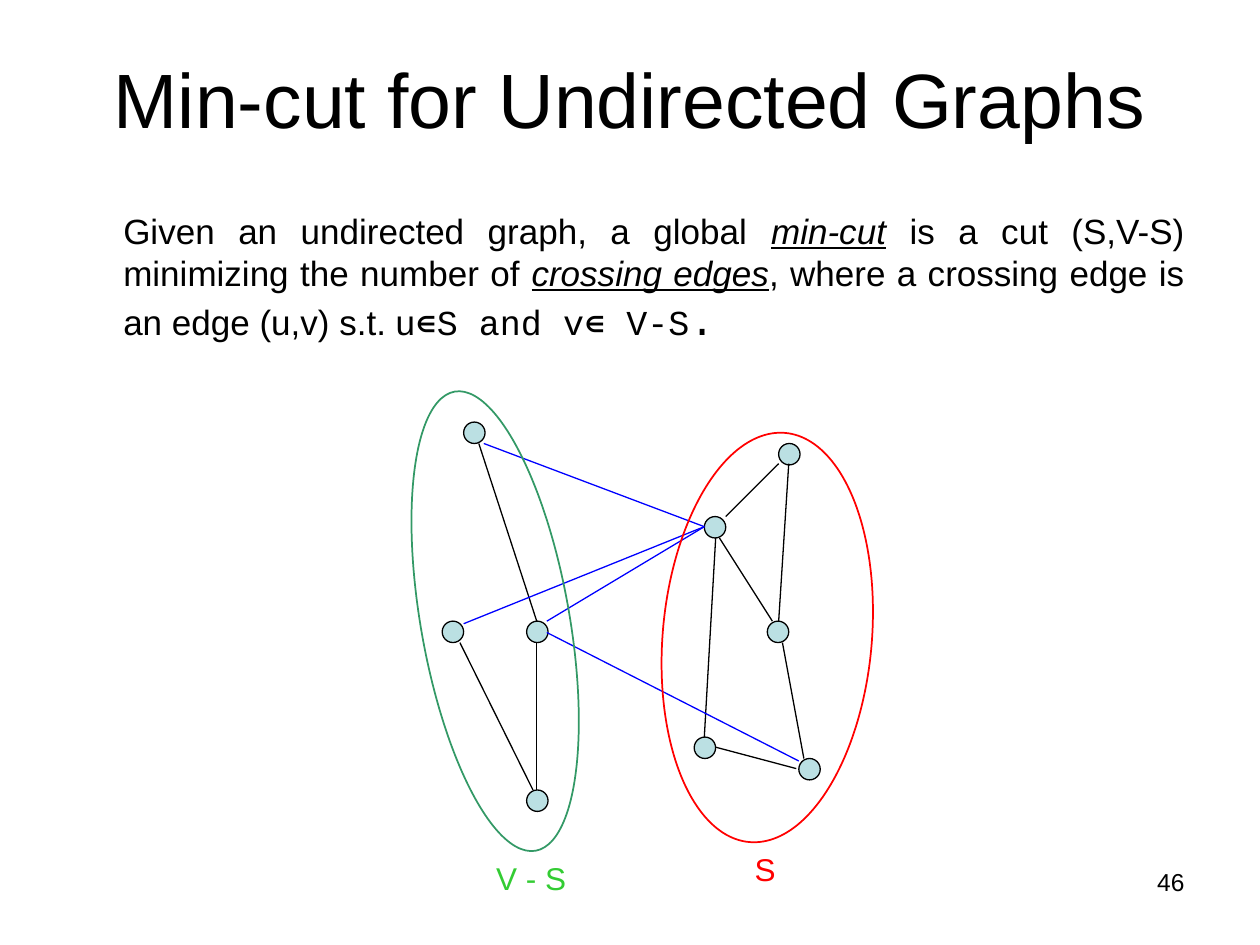
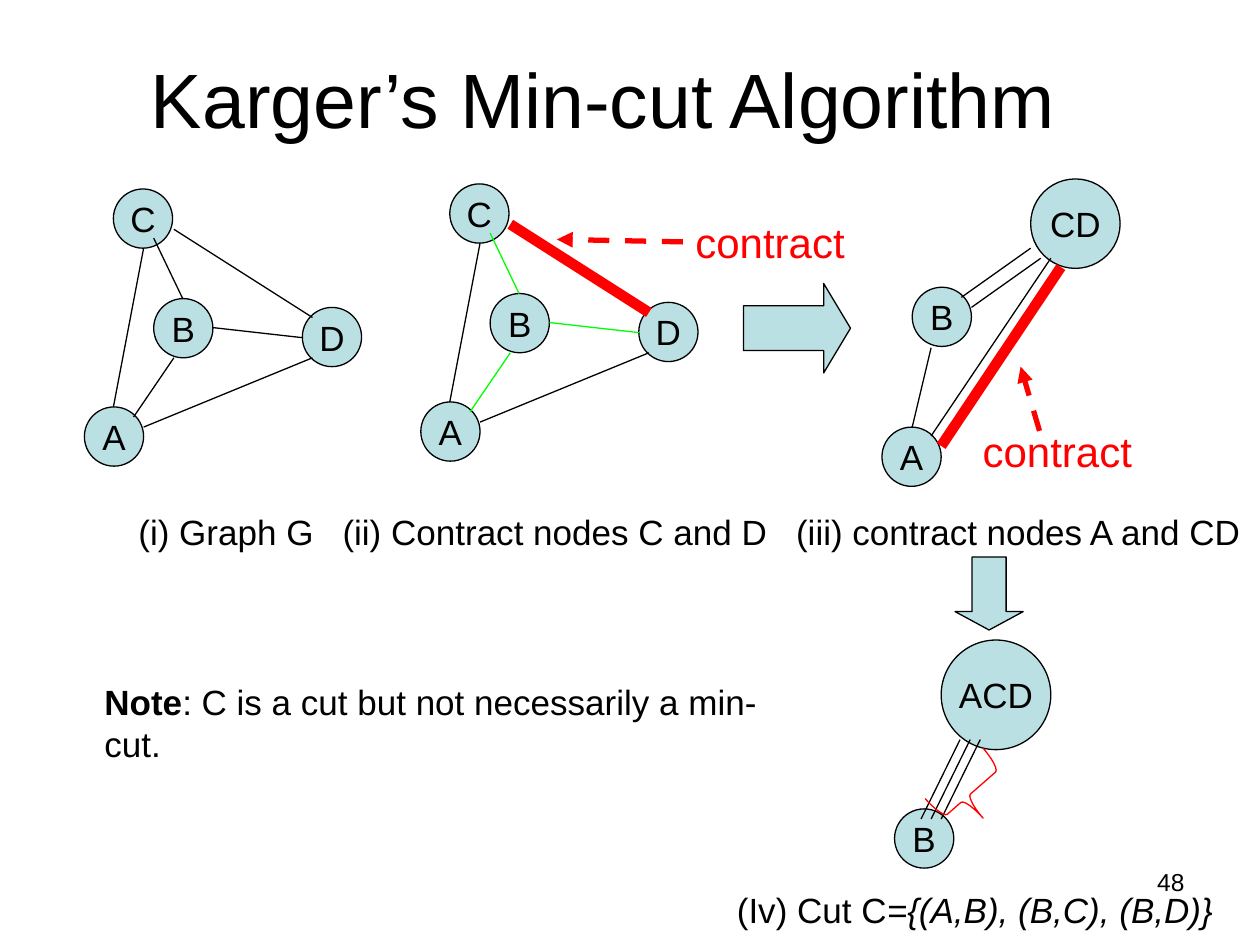
from pptx import Presentation
from pptx.dml.color import RGBColor
from pptx.enum.dml import MSO_LINE
from pptx.enum.shapes import MSO_CONNECTOR, MSO_SHAPE
from pptx.enum.text import MSO_ANCHOR, MSO_AUTO_SIZE, PP_ALIGN
from pptx.oxml.ns import qn
from pptx.util import Inches, Pt
from lxml import etree

BLACK = RGBColor(0x00, 0x00, 0x00)
RED = RGBColor(0xFF, 0x00, 0x00)
BLUE = RGBColor(0x00, 0x00, 0xFF)
GREEN = RGBColor(0x00, 0xFF, 0x00)
SEA_GREEN = RGBColor(0x33, 0x99, 0x66)
LIME = RGBColor(0x33, 0xCC, 0x33)
NODE_FILL = RGBColor(0xBB, 0xE0, 0xE3)

DOT = 0.17
NODE = 0.47
TERM = {"italic": True, "underline": True}
MONO = {"name": "Courier New"}


class Deck:
    """Shared style and the slide being drawn."""

    def __init__(self):
        self.prs = Presentation()
        self.prs.slide_width, self.prs.slide_height = Inches(10), Inches(7.5)
        self.s = None

    def slide(self, title, number, left=0.5, width=9):
        self.s = self.prs.slides.add_slide(self.prs.slide_layouts[5])
        sp = self.s.shapes.title
        box = {"left": left, "top": 0.3, "width": width, "height": 1.25}
        for name, value in box.items():
            setattr(sp, name, Inches(value))
        self.fill_text(sp.text_frame, [(title, {})], 44, align=PP_ALIGN.CENTER,
                       margin_top=Inches(0.11))
        self.text(7.17, 6.83, 2.33, 0.52, number, 14, align=PP_ALIGN.RIGHT)

    def fill_text(self, tf, runs, size, color=BLACK, align=PP_ALIGN.LEFT, **frame):
        settings = {"auto_size": MSO_AUTO_SIZE.NONE, "word_wrap": True,
                    "vertical_anchor": MSO_ANCHOR.TOP, **frame}
        for name, value in settings.items():
            setattr(tf, name, value)
        p = tf.paragraphs[0]
        p.alignment = align
        for text, extra in runs:
            r = p.add_run()
            r.text = text
            for name, value in {"name": "Arial", "size": Pt(size), **extra}.items():
                setattr(r.font, name, value)
            r.font.color.rgb = color

    def text(self, x, y, w, h, content, size=20, color=BLACK, **options):
        runs = [(content, {})] if isinstance(content, str) else content
        tb = self.s.shapes.add_textbox(Inches(x), Inches(y), Inches(w), Inches(h))
        self.fill_text(tb.text_frame, runs, size, color, **options)

    def shape(self, kind, x, y, w, h, fill=NODE_FILL, line=BLACK, width=0.75,
              rotation=0, adjust=()):
        sp = self.s.shapes.add_shape(kind, Inches(x), Inches(y), Inches(w), Inches(h))
        sp.shadow.inherit = False
        sp.rotation = rotation
        for i, value in enumerate(adjust):
            sp.adjustments[i] = value
        if fill is None:
            sp.fill.background()
        else:
            sp.fill.solid()
            sp.fill.fore_color.rgb = fill
        sp.line.color.rgb = line
        sp.line.width = Pt(width)
        return sp

    def node(self, x, y, label, size=NODE):
        sp = self.shape(MSO_SHAPE.OVAL, x, y, size, size)
        self.fill_text(sp.text_frame, [(label, {})], 20, align=PP_ALIGN.CENTER,
                       vertical_anchor=MSO_ANCHOR.MIDDLE, word_wrap=False,
                       margin_left=0, margin_right=0)

    def line(self, x1, y1, x2, y2, color=BLACK, width=0.75, arrow=False):
        c = self.s.shapes.add_connector(MSO_CONNECTOR.STRAIGHT, Inches(x1),
                                        Inches(y1), Inches(x2), Inches(y2))
        c.line.color.rgb = color
        c.line.width = Pt(width)
        if arrow:
            c.line.dash_style = MSO_LINE.DASH
            ln = c._element.spPr.find(qn("a:ln"))
            etree.SubElement(ln, qn("a:tailEnd"), type="triangle")
        etree.SubElement(c._element.spPr, qn("a:effectLst"))

    def complete_graph(self, dx, dy, styles):
        """Four labelled nodes, all joined; styles overrides single edges."""
        nodes = {"A": (0.67, 3.23), "D": (2.4, 2.44), "B": (1.22, 2.37), "C": (0.9, 1.5)}
        edges = {
            "AC": (0.9, 3.23, 1.14, 1.97), "CD": (1.38, 1.82, 2.48, 2.52),
            "AD": (1.14, 3.39, 2.48, 2.84), "BD": (1.69, 2.6, 2.4, 2.68),
            "BC": (1.45, 2.37, 1.22, 1.89), "AB": (1.38, 2.84, 1.06, 3.31),
        }
        for label, (x, y) in nodes.items():
            self.node(x + dx, y + dy, label)
        for name, (x1, y1, x2, y2) in edges.items():
            self.line(x1 + dx, y1 + dy, x2 + dx, y2 + dy, **styles.get(name, {}))


def min_cut_slide(deck):
    deck.slide("Min-cut for Undirected Graphs", "46")

    # Definition
    deck.text(0.88, 1.58, 8.62, 1.42, [
        ("Given an undirected graph, a global ", {}),
        ("min-cut", TERM),
        (" is a cut (S,V-S) minimizing the number of ", {}),
        ("crossing edges", TERM),
        (", where a crossing edge is an edge (u,v) s.t. u", {}),
        ("∊S and v∊ V-S", MONO),
        (".", {**MONO, "size": Pt(24)}),
    ], align=PP_ALIGN.JUSTIFY, margin_top=Inches(0.08))

    # Vertices
    for x, y in [(3.68, 3.35), (6.18, 3.52), (6.09, 4.93), (4.18, 6.27), (4.18, 4.93),
                 (5.51, 5.85), (5.59, 4.1), (3.51, 4.93), (6.34, 6.02)]:
        deck.shape(MSO_SHAPE.OVAL, x, y, DOT, DOT)

    # Edges inside each side, then crossing edges
    inner = [
        (3.8, 3.52, 4.26, 4.93), (4.26, 5.1, 4.26, 6.27), (3.65, 5.1, 4.23, 6.27),
        (5.59, 5.85, 5.68, 4.27), (5.76, 4.1, 6.18, 3.68), (5.71, 4.27, 6.13, 4.93),
        (5.68, 5.93, 6.32, 6.1), (6.18, 4.93, 6.26, 3.68), (6.21, 5.1, 6.38, 6.02),
    ]
    crossing = [(4.34, 5.02, 6.34, 6.04), (4.34, 4.93, 5.59, 4.18),
                (3.68, 4.95, 5.59, 4.18), (3.84, 3.52, 5.59, 4.18)]
    for edges, color in ((inner, BLACK), (crossing, BLUE)):
        for ends in edges:
            deck.line(*ends, color=color)

    # The two sides of the cut
    deck.shape(MSO_SHAPE.OVAL, 5.26, 3.43, 1.66, 3.26, None, RED, 1, rotation=5)
    deck.shape(MSO_SHAPE.OVAL, 3.34, 3.08, 1.18, 3.7, None, SEA_GREEN, 1, rotation=350)
    deck.text(5.89, 6.7, 0.37, 0.4, "S", 18, RED, word_wrap=False)
    deck.text(3.84, 6.77, 0.76, 0.4, "V - S", 18, LIME, word_wrap=False)


def karger_slide(deck):
    deck.slide("Karger’s Min-cut Algorithm ", "48", left=0, width=9.75)
    chosen = {"color": RED, "width": 6}
    merged = {"color": GREEN}

    # Steps (i) and (ii)
    deck.complete_graph(0, 0, {})
    deck.complete_graph(2.67, -0.04,
                        {"CD": chosen, "BD": merged, "BC": merged, "AB": merged})
    deck.shape(MSO_SHAPE.RIGHT_ARROW, 5.9, 2.25, 0.85, 0.71, adjust=(0.5, 0.3))

    # Step (iii)
    deck.node(7, 3.39, "A")
    deck.node(7.24, 2.28, "B")
    deck.node(8.18, 1.42, "CD", 0.71)
    for ends in [(7.39, 2.76, 7.24, 3.39), (7.63, 2.36, 8.18, 1.97),
                 (7.71, 2.44, 8.26, 2.05), (7.39, 3.46, 8.34, 2.05)]:
        deck.line(*ends)
    deck.line(7.47, 3.54, 8.42, 2.12, **chosen)

    # Contracted edges
    for x, y, pointer in [(5.42, 1.67, (5.42, 1.92, 4.42, 1.9)),
                          (7.7, 3.33, (8.25, 3.42, 8.1, 2.91))]:
        deck.line(*pointer, color=RED, width=3, arrow=True)
        deck.text(x, y, 1.39, 0.5, "contract", 24, RED, word_wrap=False)

    # Captions
    for x, w, caption in [(1, 1.6, "(i) Graph G"),
                          (2.62, 3.58, "(ii) Contract nodes C and D"),
                          (6.22, 3.74, "(iii) contract nodes A and CD")]:
        deck.text(x, 4, w, 0.43, caption, word_wrap=False)

    # Step (iv)
    deck.shape(MSO_SHAPE.RIGHT_ARROW, 7.56, 4.44, 0.58, 0.54, rotation=90,
               adjust=(0.5, 0.27))
    deck.node(7.1, 6.42, "B")
    deck.node(7.47, 5.08, "ACD", 0.87)
    for i in range(3):
        deck.line(7.31 + 0.08 * i, 6.5, 7.62 + 0.08 * i, 5.87)
    deck.shape(MSO_SHAPE.RIGHT_BRACE, 7.5, 5.99, 0.42, 0.61, None, RED,
               rotation=48.8, adjust=(0.12, 0.6))
    deck.text(5.75, 7, 4.17, 0.43, [
        ("(Iv) Cut C", {}), ("={(A,B), (B,C), (B,D)}", {"italic": True})],
        word_wrap=False)

    # Note
    deck.text(0.73, 5.35, 5.5, 0.77, [
        ("Note", {"bold": True}),
        (": C is a cut but not necessarily a min-cut.", {})])


def main():
    deck = Deck()
    min_cut_slide(deck)
    karger_slide(deck)
    deck.prs.save("out.pptx")


if __name__ == "__main__":
    main()
